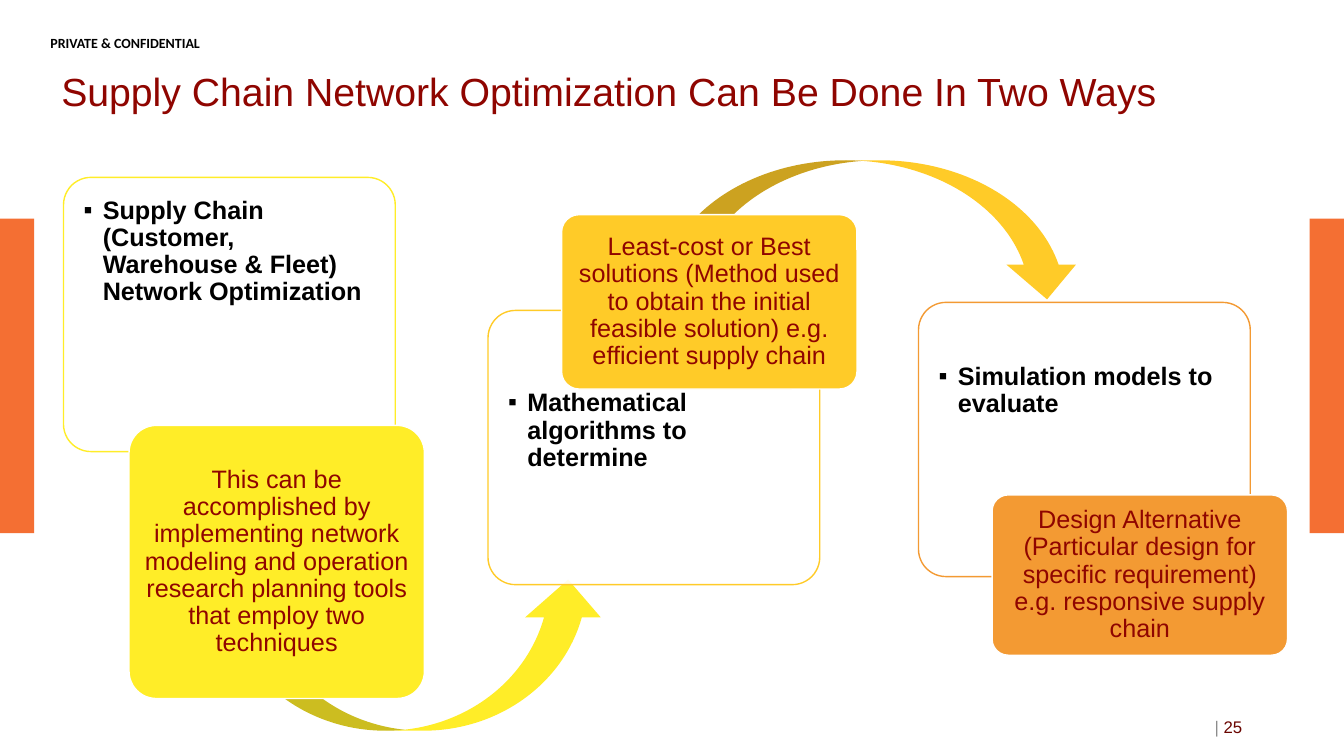
from lxml.etree import SubElement
from pptx import Presentation
from pptx.dml.color import RGBColor
from pptx.enum.shapes import MSO_SHAPE as Preset
from pptx.enum.text import MSO_ANCHOR as Anchor, PP_ALIGN as Align
from pptx.oxml.ns import qn
from pptx.util import Inches, Pt

COLORS = {
    "side": "F46F33", "title": "8F0500", "black": "000000", "white": "FFFFFF",
    "yellow": "FFED28", "gold": "FFCB28", "orange": "F39A33",
    "divider": "8C8C8C", "number": "6A0500",
}
PANEL_SIZE = (3.29, 2.72)
CARD_WIDTH = 2.93

STEPS = [
    {"color": "yellow", "panel": (0.63, 1.76), "text_top": 0.12,
     "heading": "Supply Chain (Customer, Warehouse & Fleet) Network Optimization",
     "arrow": (2.2, 5.75, 3.81, 1.5), "flipped": True,
     "card": (1.28, 4.22, CARD_WIDTH, 2.71),
     "detail": "This can be accomplished by implementing network modeling and "
               "operation research planning tools that employ two techniques"},
    {"color": "gold", "panel": (4.84, 3.08), "text_top": 0.71,
     "heading": "Mathematical algorithms to determine",
     "arrow": (6.55, 1.59, 4.18, 1.38), "flipped": False,
     "card": (5.57, 2.13, CARD_WIDTH, 1.73),
     "detail": "Least-cost or Best solutions (Method used to obtain the initial "
               "feasible solution) e.g. efficient supply chain"},
    {"color": "orange", "panel": (9.11, 3), "text_top": 0.53,
     "heading": "Simulation models to evaluate",
     "arrow": None, "flipped": False,
     "card": (9.84, 4.91, CARD_WIDTH, 1.59),
     "detail": "Design Alternative (Particular design for specific requirement) "
               "e.g. responsive supply chain"},
]


def rgb(name):
    """Return the named colour."""
    return RGBColor.from_string(COLORS[name])


def set_font(font, size, color, bold=False, name="Arial"):
    """Set typeface, size, colour and weight of a font."""
    font.name, font.size, font.bold = name, Pt(size), bold
    font.color.rgb = rgb(color)


def set_frame(shape, insets, anchor):
    """Set wrapping, insets (left, top, right, bottom) and anchor; return the first paragraph."""
    frame = shape.text_frame
    frame.word_wrap = True
    frame.vertical_anchor = anchor
    (frame.margin_left, frame.margin_top,
     frame.margin_right, frame.margin_bottom) = map(Inches, insets)
    return frame.paragraphs[0]


def add_shape(slide, preset, box, fill, line=None):
    """Add a filled preset shape with an optional 1 pt outline."""
    shape = slide.shapes.add_shape(preset, *map(Inches, box))
    shape.shadow.inherit = False
    shape.fill.solid()
    shape.fill.fore_color.rgb = rgb(fill)
    if line:
        shape.line.color.rgb = rgb(line)
        shape.line.width = Pt(1)
    else:
        shape.line.fill.background()
    return shape


def add_rounded(slide, box, fill, line):
    """Add a rounded rectangle with small corners."""
    shape = add_shape(slide, Preset.ROUNDED_RECTANGLE, box, fill, line)
    shape.adjustments[0] = 0.1
    return shape


def add_text(slide, box, insets=(0.1, 0.05, 0.1, 0.05), anchor=Anchor.MIDDLE):
    """Add a text box and return its first paragraph."""
    return set_frame(slide.shapes.add_textbox(*map(Inches, box)), insets, anchor)


def add_bullet(paragraph, indent):
    """Give a paragraph a square bullet with a hanging indent."""
    properties = paragraph._p.get_or_add_pPr()
    properties.set("marL", str(Inches(indent)))
    properties.set("indent", str(-Inches(indent)))
    SubElement(properties, qn("a:buFont"), typeface="Arial")
    SubElement(properties, qn("a:buChar"), char="▪")


def add_panel(slide, step):
    """Add the outlined panel with its bulleted heading."""
    panel = add_rounded(slide, step["panel"] + PANEL_SIZE, "white", step["color"])
    color = panel.fill._xPr.find(qn("a:solidFill"))[0]
    SubElement(color, qn("a:alpha"), val="90000")
    paragraph = set_frame(panel, (0.12, step["text_top"], 0.12, 0.12), Anchor.TOP)
    paragraph.text = step["heading"]
    paragraph.alignment = Align.LEFT
    paragraph.line_spacing = 0.9
    add_bullet(paragraph, 0.19)
    set_font(paragraph.font, 18, "black", bold=True)


def add_arrow(slide, step):
    """Add the curved arrow that leads to the next step."""
    arrow = add_shape(slide, Preset.CURVED_DOWN_ARROW, step["arrow"], step["color"])
    if step["flipped"]:
        arrow.element.spPr.find(qn("a:xfrm")).set("flipV", "1")


def add_card(slide, step):
    """Add the filled card with the step's detail."""
    card = add_rounded(slide, step["card"], step["color"], "white")
    paragraph = set_frame(card, (0.04, 0.03, 0.04, 0.03), Anchor.MIDDLE)
    paragraph.text = step["detail"]
    paragraph.alignment = Align.CENTER
    paragraph.line_spacing = 0.9
    set_font(paragraph.font, 18, "title")


def add_page_furniture(slide):
    """Add side bars, confidentiality mark, title and page number."""
    for left in (0, 12.99):
        add_shape(slide, Preset.RECTANGLE, (left, 2.17, 0.34, 3.12), "side")

    mark = add_text(slide, (0.5, 0.34, 2.53, 0.12), (0, 0, 0, 0), Anchor.TOP)
    mark.text = "PRIVATE & CONFIDENTIAL"
    set_font(mark.font, 10, "black", bold=True, name="Calibri")

    title = add_text(slide, (0.51, 0.58, 11.34, 0.71))
    title.text = "Supply Chain Network Optimization Can Be Done In Two Ways"
    title.line_spacing = 0.9
    set_font(title.font, 28, "title")

    page = add_text(slide, (9.42, 7.01, 3, 0.4))
    page.alignment = Align.RIGHT
    for text, color in (("| ", "divider"), ("25", "number")):
        run = page.add_run()
        run.text = text
        set_font(run.font, 12, color)


def main():
    """Build the slide and save it."""
    presentation = Presentation()
    presentation.slide_width = Inches(13.33)
    presentation.slide_height = Inches(7.5)
    slide = presentation.slides.add_slide(presentation.slide_layouts[6])
    add_page_furniture(slide)
    for step in STEPS:
        add_panel(slide, step)
        if step["arrow"]:
            add_arrow(slide, step)
        add_card(slide, step)
    presentation.save("out.pptx")


if __name__ == "__main__":
    main()
